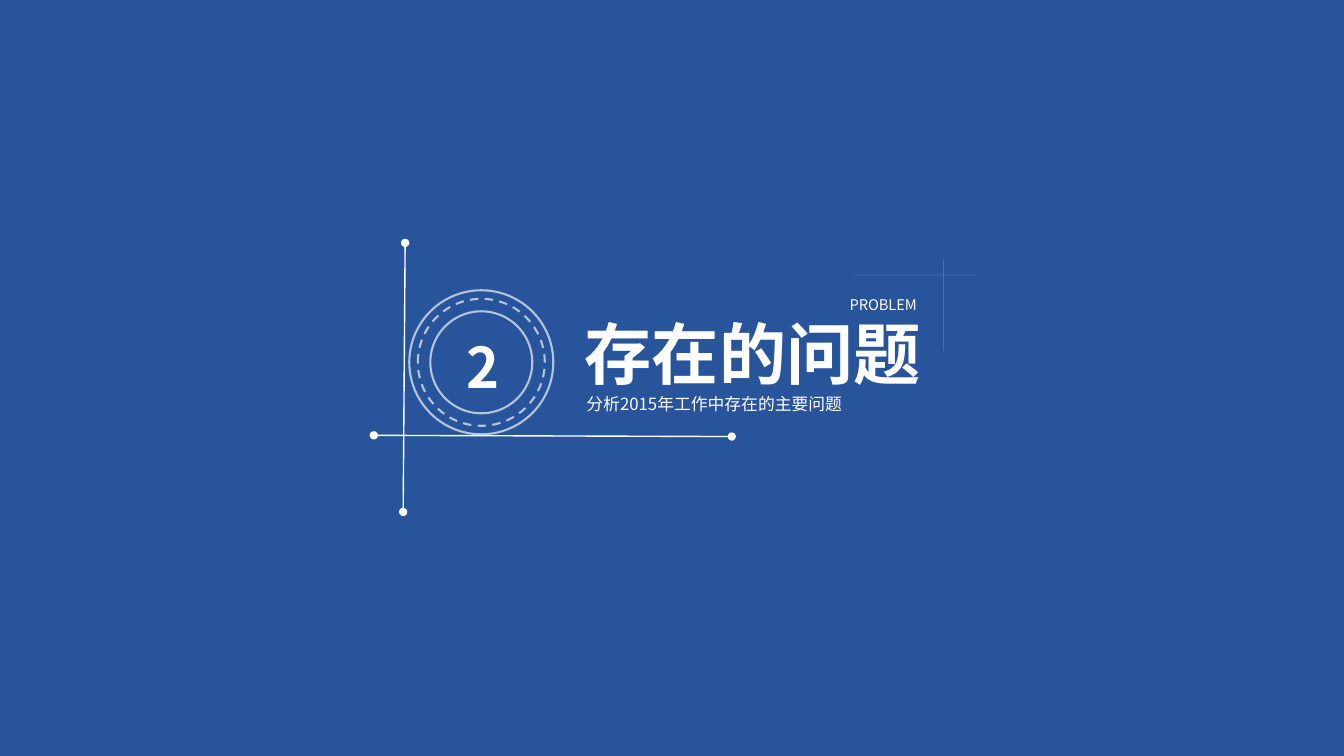
from dataclasses import dataclass

from lxml import etree
from pptx import Presentation
from pptx.dml.color import RGBColor
from pptx.enum.dml import MSO_LINE, MSO_PATTERN
from pptx.enum.shapes import MSO_CONNECTOR, MSO_SHAPE
from pptx.enum.text import MSO_ANCHOR, MSO_AUTO_SIZE, PP_ALIGN
from pptx.oxml.ns import qn
from pptx.util import Cm, Pt

STRAIGHT = MSO_CONNECTOR.STRAIGHT
OVAL = MSO_SHAPE.OVAL
SOLID, DASH = MSO_LINE.SOLID, MSO_LINE.DASH
DIAGONAL = MSO_PATTERN.LIGHT_UPWARD_DIAGONAL
TOP = MSO_ANCHOR.TOP
FIT_SHAPE = MSO_AUTO_SIZE.SHAPE_TO_FIT_TEXT
LEFT = PP_ALIGN.LEFT


@dataclass(frozen=True)
class Theme:
    font: str = "Noto Sans CJK SC"
    background: RGBColor = RGBColor(0x28, 0x54, 0x9C)
    white: RGBColor = RGBColor(0xFF, 0xFF, 0xFF)
    hatch: RGBColor = RGBColor(0xBF, 0xBF, 0xBF)
    title_size: int = 48
    number_size: int = 40
    subtitle_size: int = 12
    label_size: float = 10.5


theme = Theme()


def write_text(shape, text, size, bold=False, wrap=True):
    frame = shape.text_frame
    frame.text = text
    frame.word_wrap = wrap
    frame.auto_size = FIT_SHAPE
    frame.vertical_anchor = TOP
    paragraph = frame.paragraphs[0]
    paragraph.alignment = LEFT
    run = paragraph.runs[0]
    run.font.size = Pt(size)
    run.font.bold = bold
    run.font.color.rgb = theme.white
    run.font.name = theme.font
    east_asian = etree.SubElement(run.font._element, qn("a:ea"))
    east_asian.set("typeface", theme.font)
    return run


def style_line(shape, width, opacity=100, dash=SOLID):
    shape.line.color.rgb = theme.white
    shape.line.width = Pt(width)
    shape.line.dash_style = dash
    if opacity < 100:
        color = shape.line._ln.find(".//" + qn("a:srgbClr"))
        etree.SubElement(color, qn("a:alpha")).set("val", str(opacity * 1000))


presentation = Presentation()
presentation.slide_width = Cm(33.87)
presentation.slide_height = Cm(19.05)
slide = presentation.slides.add_slide(presentation.slide_layouts[5])
slide.background.fill.solid()
slide.background.fill.fore_color.rgb = theme.background

# Section title and its captions
title = slide.shapes.title
title.left, title.top = Cm(14.48), Cm(7.75)
title.width, title.height = Cm(9.07), Cm(2.31)
title_run = write_text(title, "存在的问题", theme.title_size, bold=True, wrap=False)
title_run.font.fill.patterned()
title_run.font.fill.pattern = DIAGONAL
title_run.font.fill.fore_color.rgb = theme.hatch
title_run.font.fill.back_color.rgb = theme.white

label = slide.shapes.add_textbox(Cm(21.16), Cm(7.34), Cm(2.29), Cm(0.71))
write_text(label, "PROBLEM", theme.label_size, wrap=False)
subtitle = slide.shapes.add_textbox(Cm(14.53), Cm(9.8), Cm(8.94), Cm(0.76))
write_text(subtitle, "分析2015年工作中存在的主要问题", theme.subtitle_size)

# Thin cross at the upper right, then the dotted-end axes of the emblem
emblem = slide.shapes.add_group_shape()
for parent, ends, width, opacity, dotted in (
    (slide, (21.51, 6.93, 24.64, 6.93), 0.25, 46, False),
    (slide, (23.77, 8.84, 23.77, 6.53), 0.25, 46, False),
    (emblem, (9.42, 10.97, 18.44, 11), 1, 100, True),
    (emblem, (10.21, 6.12, 10.16, 12.9), 1, 100, True),
):
    line = parent.shapes.add_connector(STRAIGHT, *map(Cm, ends))
    style_line(line, width, opacity)
    etree.SubElement(line._element.spPr, qn("a:effectLst"))
    if dotted:
        for end in ("a:headEnd", "a:tailEnd"):
            etree.SubElement(line.line._ln, qn(end)).set("type", "oval")

# Concentric rings around the section number
center_x, center_y = 12.13, 9.13
for diameter, dash in ((2.57, SOLID), (3.63, SOLID), (3.2, DASH)):
    ring = emblem.shapes.add_shape(
        OVAL, Cm(center_x - diameter / 2), Cm(center_y - diameter / 2),
        Cm(diameter), Cm(diameter))
    ring.shadow.inherit = False
    ring.fill.background()
    style_line(ring, 1.5, 65, dash)

number = emblem.shapes.add_textbox(Cm(11.51), Cm(8.26), Cm(1.12), Cm(1.96))
write_text(number, "2", theme.number_size, bold=True)

presentation.save("out.pptx")
